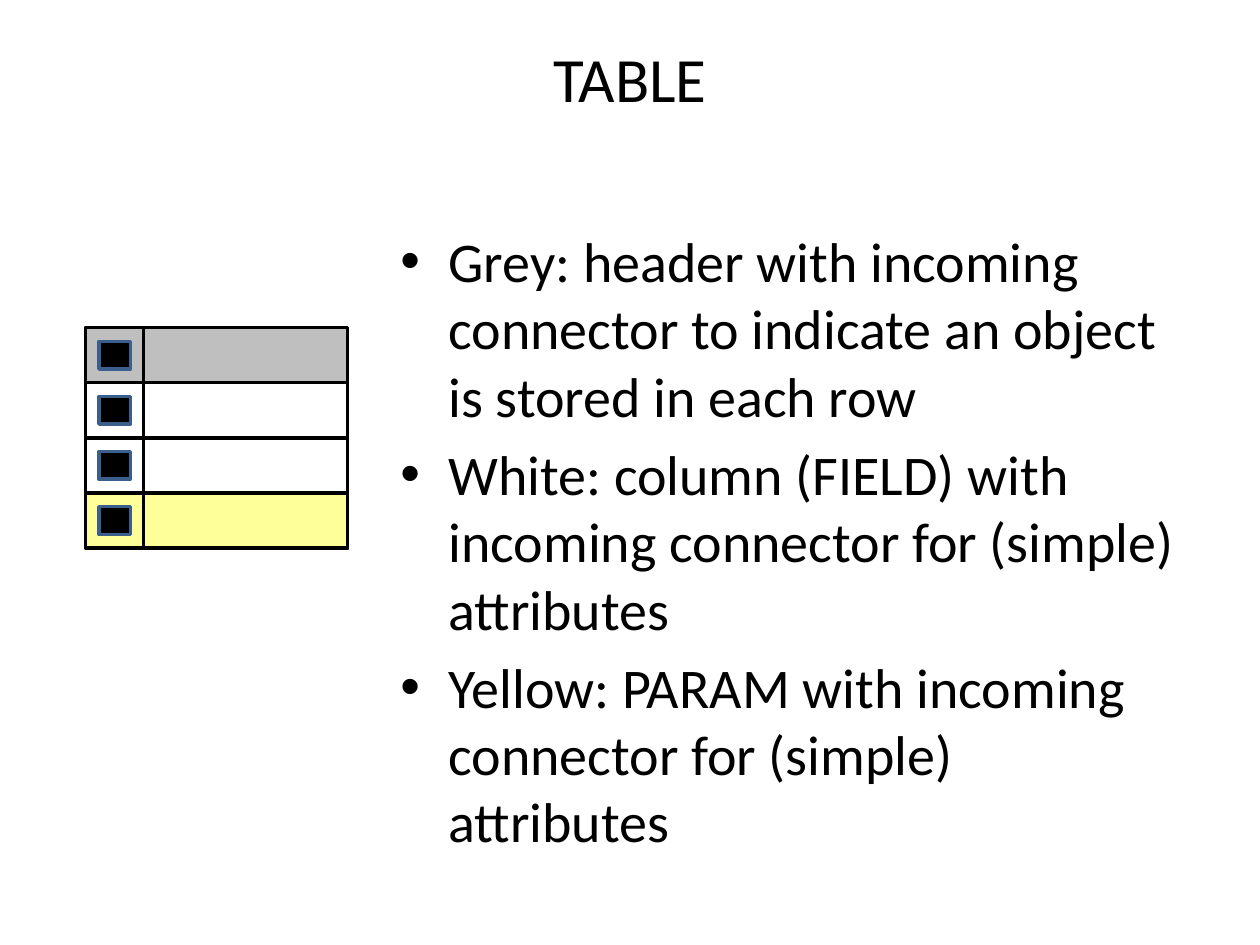
from lxml import etree
from pptx import Presentation
from pptx.dml.color import RGBColor
from pptx.enum.shapes import MSO_SHAPE
from pptx.enum.text import MSO_ANCHOR, PP_ALIGN
from pptx.oxml.ns import qn
from pptx.util import Inches, Pt

RECTANGLE = MSO_SHAPE.RECTANGLE
MIDDLE = MSO_ANCHOR.MIDDLE
TOP = MSO_ANCHOR.TOP
CENTER = PP_ALIGN.CENTER
LEFT = PP_ALIGN.LEFT
TITLE_ONLY = 5

FONT = "Calibri"
COLORS = {
    "black": "000000",
    "header": "BFBFBF",
    "param": "FFFF99",
    "connector_line": "3A5F8C",
}
ROW_FILLS = ["header", None, None, "param"]
BULLETS = [
    "Grey: header with incoming connector to indicate an object is stored in each row",
    "White: column (FIELD) with incoming connector for (simple) attributes",
    "Yellow: PARAM with incoming connector for (simple) attributes",
]


def color(name):
    return RGBColor.from_string(COLORS[name])


def add_run(paragraph, text, size):
    run = paragraph.add_run()
    run.text = text
    run.font.name = FONT
    run.font.size = Pt(size)
    run.font.color.rgb = color("black")


def add_bullet(paragraph, indent):
    properties = paragraph._p.get_or_add_pPr()
    properties.set("marL", str(indent))
    properties.set("indent", str(-indent))
    etree.SubElement(properties, qn("a:buFont")).set("typeface", "Arial")
    etree.SubElement(properties, qn("a:buChar")).set("char", "•")


def add_rectangle(group, left, top, width, height, fill=None, line="black"):
    shape = group.shapes.add_shape(
        RECTANGLE, Inches(left), Inches(top), Inches(width), Inches(height))
    shape.shadow.inherit = False
    if fill:
        shape.fill.solid()
        shape.fill.fore_color.rgb = color(fill)
    else:
        shape.fill.background()
    shape.line.color.rgb = color(line)
    shape.line.width = Pt(2)


def place_title(slide, left, top, width, height):
    title = slide.shapes.title
    title.left, title.top = Inches(left), Inches(top)
    title.width, title.height = Inches(width), Inches(height)
    frame = title.text_frame
    frame.vertical_anchor = MIDDLE
    paragraph = frame.paragraphs[0]
    paragraph.alignment = CENTER
    add_run(paragraph, "TABLE", 36)


def add_explanation(slide, left, top, width, height):
    box = slide.shapes.add_textbox(
        Inches(left), Inches(top), Inches(width), Inches(height))
    frame = box.text_frame
    frame.word_wrap = True
    frame.vertical_anchor = TOP
    for index, text in enumerate(BULLETS):
        paragraph = frame.add_paragraph() if index else frame.paragraphs[0]
        add_bullet(paragraph, Inches(0.38))
        paragraph.alignment = LEFT
        paragraph.space_before = Pt(6.4 if index else 0)
        add_run(paragraph, text, 32)


def add_table_symbol(slide, left, top, width, height):
    """Draw the TABLE diagram symbol: rows with a connector port each."""
    group = slide.shapes.add_group_shape()
    row_height = height / len(ROW_FILLS)
    port_column = 0.46
    port_width, port_height = 0.25, 0.22
    row_tops = [top + index * row_height for index in range(len(ROW_FILLS))]

    for row_top, fill in zip(row_tops, ROW_FILLS):
        add_rectangle(group, left, row_top, width, row_height, fill)
    add_rectangle(group, left, top, width, height)
    add_rectangle(group, left, top, port_column, height)
    for row_top in row_tops:
        add_rectangle(
            group,
            left + (port_column - port_width) / 2,
            row_top + (row_height - port_height) / 2,
            port_width, port_height, "black", "connector_line")


def main():
    presentation = Presentation()
    presentation.slide_width = Inches(10)
    presentation.slide_height = Inches(7.5)
    slide = presentation.slides.add_slide(presentation.slide_layouts[TITLE_ONLY])
    place_title(slide, 0.5, 0.3, 9, 0.62)
    add_explanation(slide, 3.08, 1.75, 6.42, 4.95)
    add_table_symbol(slide, 0.68, 2.6, 2.08, 1.75)
    presentation.save("out.pptx")


if __name__ == "__main__":
    main()
